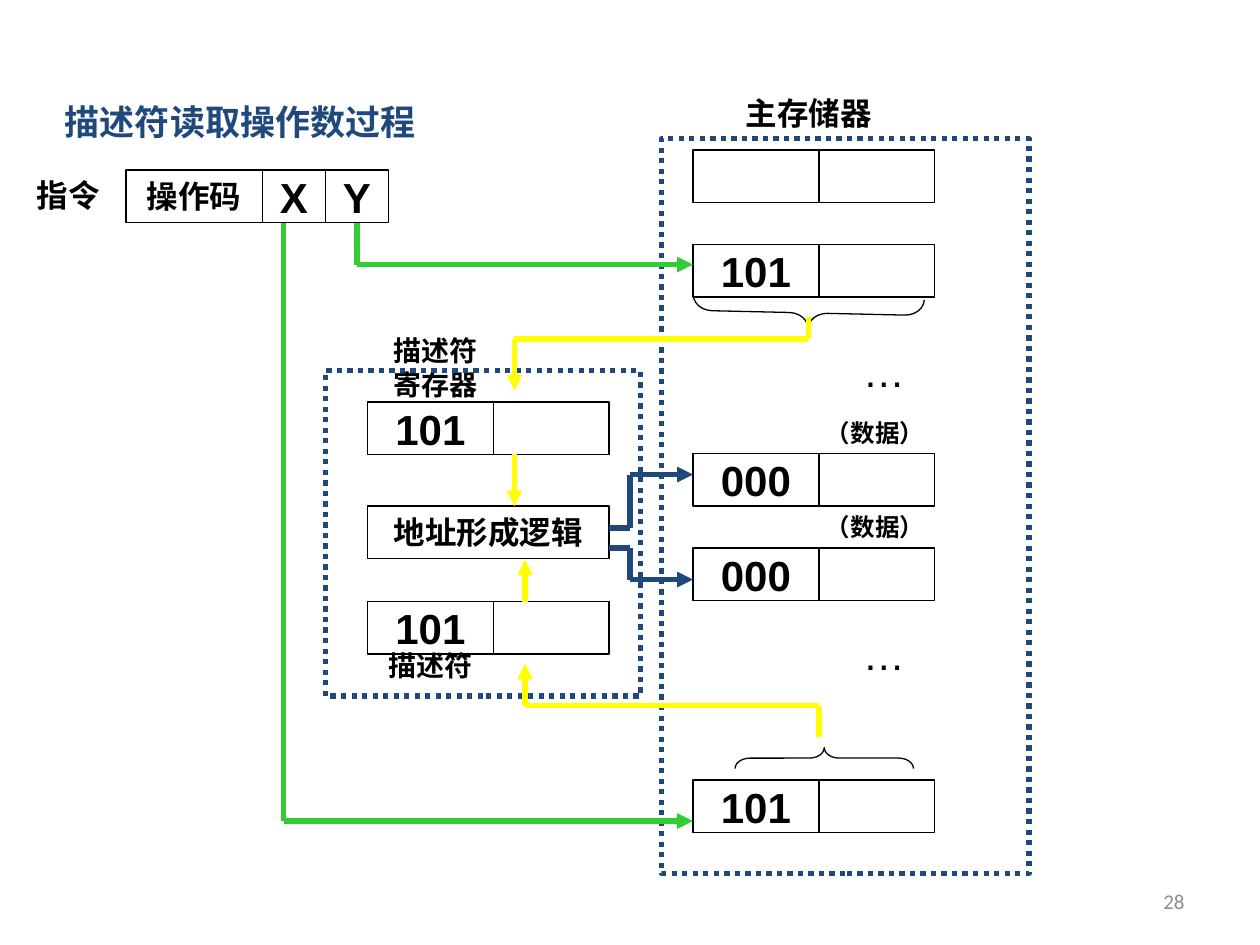
from itertools import pairwise
from typing import NamedTuple

from lxml import etree
from pptx import Presentation
from pptx.dml.color import RGBColor
from pptx.enum.dml import MSO_LINE
from pptx.enum.shapes import MSO_CONNECTOR, MSO_SHAPE
from pptx.enum.text import MSO_ANCHOR, MSO_AUTO_SIZE, PP_ALIGN
from pptx.oxml.ns import qn
from pptx.util import Emu, Pt

EMU_PER_PX = 7620  # 120 px to the inch
STRAIGHT = MSO_CONNECTOR.STRAIGHT
RECTANGLE, LEFT_BRACE = MSO_SHAPE.RECTANGLE, MSO_SHAPE.LEFT_BRACE
MIDDLE = MSO_ANCHOR.MIDDLE
LEFT, CENTER, RIGHT = PP_ALIGN.LEFT, PP_ALIGN.CENTER, PP_ALIGN.RIGHT
GROW = MSO_AUTO_SIZE.SHAPE_TO_FIT_TEXT
DOTTED = MSO_LINE.ROUND_DOT

BLACK, WHITE, NAVY = "000000", "FFFFFF", "1F497D"
GREEN, YELLOW, GRAY = "33CC33", "FFFF00", "8C8C8C"
CELL_HEIGHT, TAG_WIDTH, ADDRESS_WIDTH = 50, 120, 110
MEMORY_LEFT, REGISTER_LEFT = 660, 350


class Cell(NamedTuple):
    left: int
    top: int
    width: int
    text: str = ""
    size: int = 24


class Label(NamedTuple):
    text: str
    left: int
    top: int
    width: int
    height: int
    size: int
    align: PP_ALIGN = CENTER
    color: str = BLACK
    bold: bool = True
    font: str = "Arial"


class Route(NamedTuple):
    color: str
    points: list[tuple[int, int]]
    weight: float = 3
    arrow: bool = True


class Brace(NamedTuple):
    left: int
    top: int
    width: int
    height: int
    rotation: float
    curve: float


class Frame(NamedTuple):
    left: int
    top: int
    width: int
    height: int


def word_pair(left: int, top: int, tag: str) -> list[Cell]:
    """A stored word: a tag cell followed by an empty address cell."""
    return [Cell(left, top, TAG_WIDTH, tag),
            Cell(left + TAG_WIDTH, top, ADDRESS_WIDTH)]


INSTRUCTION = [Cell(120, 162, 130, "操作码", 18), Cell(250, 162, 60, "X"),
               Cell(310, 162, 60, "Y")]
WORDS = [(MEMORY_LEFT, 143, ""), (MEMORY_LEFT, 233, "101"),
         (REGISTER_LEFT, 383, "101"), (REGISTER_LEFT, 573, "101"),
         (MEMORY_LEFT, 432, "000"), (MEMORY_LEFT, 522, "000"),
         (MEMORY_LEFT, 743, "101")]
LOGIC = Cell(REGISTER_LEFT, 482, TAG_WIDTH + ADDRESS_WIDTH, "地址形成逻辑", 18)

LABELS = [
    Label("描述符读取操作数过程", 50, 90, 500, 52, 20, LEFT, NAVY),
    Label("指令", 20, 162, 90, 48, 18),
    Label("描述符寄存器", 360, 312, 110, 77, 16),
    Label("描述符", 350, 612, 120, 44, 16),
    Label("主存储器", 690, 84, 160, 48, 18),
    *(Label("（数据）", 770, top, 127, 40, 14) for top in (392, 482)),
    *(Label("…", 810, top, 50, 60, 24, bold=False) for top in (323, 593)),
]
PAGE_NUMBER = Label("28", 860, 834, 280, 48, 12, RIGHT, GRAY, False, "Calibri")

ROUTES = [
    Route(GREEN, [(340, 212), (340, 252), (660, 252)]),
    Route(GREEN, [(270, 212), (270, 782), (660, 782)]),
    Route(YELLOW, [(490, 432), (490, 482)]),
    Route(YELLOW, [(500, 573), (500, 533)]),
    Route(BLACK, [(780, 282), (780, 263)], 0.75, False),
    Route(YELLOW, [(780, 702), (780, 672), (500, 672), (500, 632)]),
    Route(YELLOW, [(770, 302), (770, 323), (490, 323), (490, 372)]),
    Route(NAVY, [(580, 503), (600, 503), (600, 452), (660, 452)]),
    Route(NAVY, [(580, 522), (600, 522), (600, 552), (660, 552)]),
]
BRACES = [Brace(755, 188, 30, 220, 271.3, 0.61),
          Brace(775, 637, 20, 170, 90, 0.71)]
FRAMES = [Frame(630, 132, 350, 700), Frame(310, 353, 300, 310)]


def px(*lengths: int) -> list[Emu]:
    return [Emu(length * EMU_PER_PX) for length in lengths]


def rgb(color: str) -> RGBColor:
    return RGBColor.from_string(color)


def set_line(shape, color: str, weight: float) -> None:
    shape.line.color.rgb = rgb(color)
    shape.line.width = Pt(weight)


def write(box, text: str, color: str, align: PP_ALIGN, **font_format) -> None:
    para = box.text_frame.paragraphs[0]
    para.alignment = align
    span = para.add_run()
    span.text = text
    span.font.color.rgb = rgb(color)
    for name, value in font_format.items():
        setattr(span.font, name, value)


def draw_cell(page, cell: Cell) -> None:
    box = page.shapes.add_shape(
        RECTANGLE, *px(cell.left, cell.top, cell.width, CELL_HEIGHT))
    box.shadow.inherit = False
    box.fill.solid()
    box.fill.fore_color.rgb = rgb(WHITE)
    set_line(box, BLACK, 0.75)
    if cell.text:
        box.text_frame.word_wrap = False
        box.text_frame.vertical_anchor = MIDDLE
        write(box, cell.text, BLACK, CENTER,
              name="Arial", size=Pt(cell.size), bold=True)


def draw_label(page, label: Label):
    box = page.shapes.add_textbox(
        *px(label.left, label.top, label.width, label.height))
    box.text_frame.word_wrap = True
    write(box, label.text, label.color, label.align,
          name=label.font, size=Pt(label.size), bold=label.bold)
    return box


def draw_route(page, route: Route) -> None:
    for start, end in pairwise(route.points):
        segment = page.shapes.add_connector(STRAIGHT, *px(*start, *end))
        set_line(segment, route.color, route.weight)
        etree.SubElement(segment._element.spPr, qn("a:effectLst"))
    if route.arrow:
        line = segment.line._get_or_add_ln()
        etree.SubElement(line, qn("a:tailEnd"), type="triangle")


def draw_brace(page, brace: Brace) -> None:
    shape = page.shapes.add_shape(
        LEFT_BRACE, *px(brace.left, brace.top, brace.width, brace.height))
    shape.shadow.inherit = False
    shape.rotation = brace.rotation
    shape.adjustments[0] = brace.curve
    shape.fill.background()
    set_line(shape, BLACK, 0.75)


def draw_frame(page, frame: Frame) -> None:
    shape = page.shapes.add_shape(RECTANGLE, *px(*frame))
    shape.shadow.inherit = False
    shape.fill.background()
    set_line(shape, NAVY, 3)
    shape.line.dash_style = DOTTED


def main() -> None:
    deck = Presentation()
    deck.slide_width, deck.slide_height = px(1200, 900)
    page = deck.slides.add_slide(deck.slide_layouts[6])
    words = [cell for word in WORDS for cell in word_pair(*word)]
    for cell in [*INSTRUCTION, *words, LOGIC]:
        draw_cell(page, cell)
    for brace in BRACES:
        draw_brace(page, brace)
    for label in LABELS:
        draw_label(page, label).text_frame.auto_size = GROW
    for frame in FRAMES:
        draw_frame(page, frame)
    for route in ROUTES:
        draw_route(page, route)
    draw_label(page, PAGE_NUMBER).text_frame.vertical_anchor = MIDDLE
    deck.save("out.pptx")


if __name__ == "__main__":
    main()
